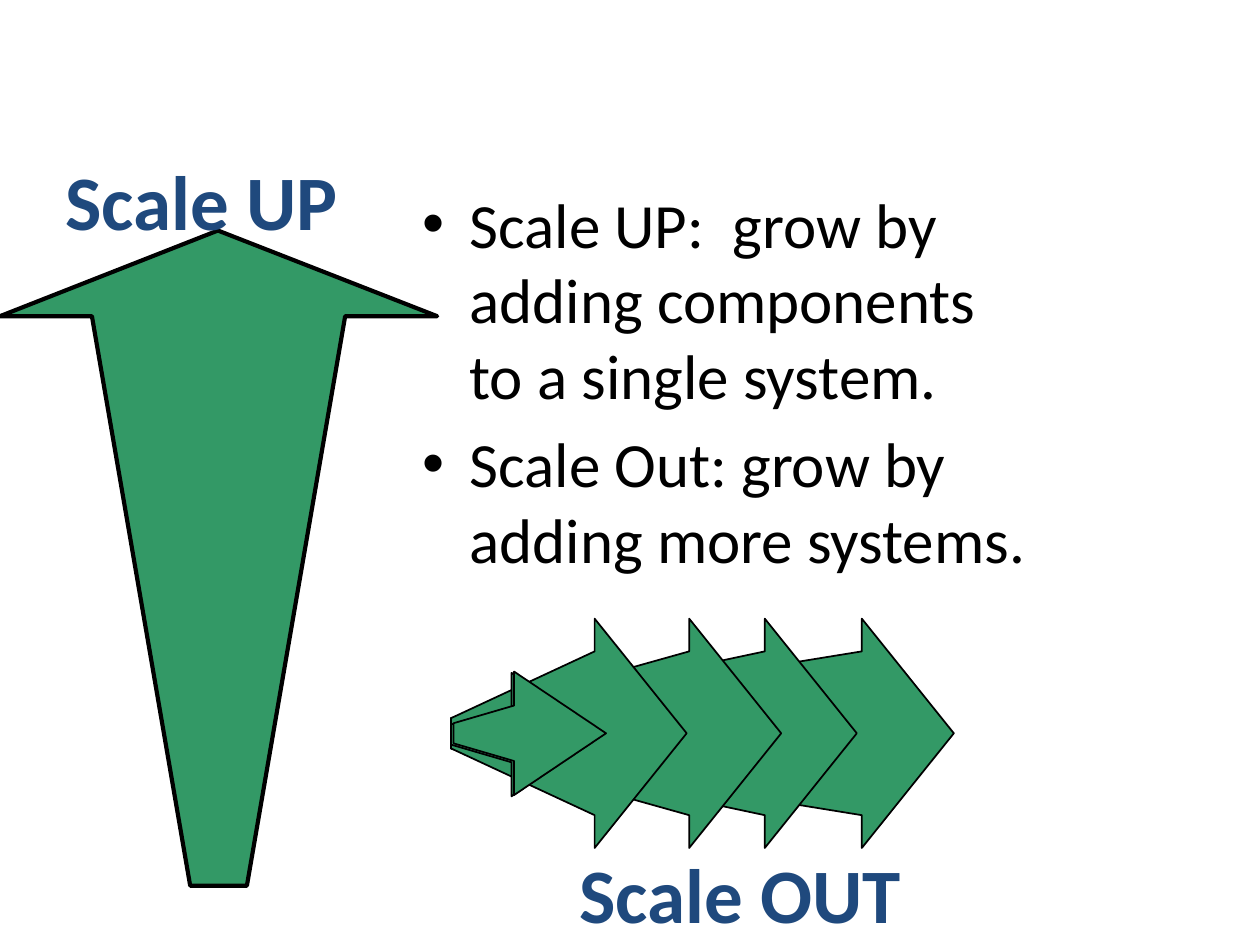
from pptx import Presentation
from pptx.dml.color import RGBColor
from pptx.enum.text import MSO_AUTO_SIZE
from pptx.util import Inches, Pt

COLORS = {"green": "339966", "navy": "1F497D", "black": "000000"}

prs = Presentation()
prs.slide_width, prs.slide_height = Inches(10), Inches(7.5)
s = prs.slides.add_slide(prs.slide_layouts[1])
s.shapes.title._element.getparent().remove(s.shapes.title._element)


def add_arrow(points, line_width):
    start, *rest = [(Inches(x), Inches(y)) for x, y in points]
    fb = s.shapes.build_freeform(*start, scale=1.0)
    fb.add_line_segments(rest, close=True)
    sp = fb.convert_to_shape()
    sp.shadow.inherit = False
    sp.fill.solid()
    sp.fill.fore_color.rgb = RGBColor.from_string(COLORS["green"])
    sp.line.color.rgb = RGBColor.from_string(COLORS["black"])
    sp.line.width = Pt(line_width)


def add_label(text, left, top, width, height, wrap):
    tf = s.shapes.add_textbox(*map(Inches, (left, top, width, height))).text_frame
    tf.word_wrap = wrap
    p = tf.paragraphs[0]
    p.text = text
    p.font.name, p.font.size, p.font.bold = "Calibri", Pt(44), True
    p.font.color.rgb = RGBColor.from_string(COLORS["navy"])


add_arrow([(1.73, 1.83), (3.47, 2.51), (2.74, 2.51), (1.96, 7.03),
           (1.51, 7.03), (0.73, 2.51), (0, 2.51)], 2.38)
add_label("Scale UP", 0.42, 1.17, 3.32, 0.84, True)

body = s.placeholders[1]
body.left, body.top, body.width, body.height = map(Inches, (3.25, 1.42, 6.75, 2.98))
tf = body.text_frame
tf.auto_size = MSO_AUTO_SIZE.NONE
tf.text = ("Scale UP:  grow by \vadding components \vto a single system.\n"
           "Scale Out: grow by \vadding more systems.")
for p, space in zip(tf.paragraphs, (0, 7.2)):
    p.space_before = Pt(space)
    p.font.name, p.font.size = "Calibri", Pt(36)
    p.font.color.rgb = RGBColor.from_string(COLORS["black"])

add_label("Scale OUT", 4.5, 6.67, 3.04, 0.83, False)

HEAD_LENGTH = 0.73
BIG, SMALL = (0.91, 0.65, 0.12), (0.49, 0.22, 0.08)
for tail, tip, mid, (head, neck, end) in [
    (3.58, 7.57, 5.82, BIG),
    (3.58, 6.8, 5.82, BIG),
    (3.58, 6.2, 5.82, BIG),
    (3.58, 5.45, 5.82, BIG),
    (3.58, 4.79, 5.83, SMALL),
    (3.6, 4.81, 5.82, SMALL),
]:
    base = tip - HEAD_LENGTH
    add_arrow([(tip, mid), (base, mid + head), (base, mid + neck), (tail, mid + end),
               (tail, mid - end), (base, mid - neck), (base, mid - head)], 1)

prs.save("out.pptx")
